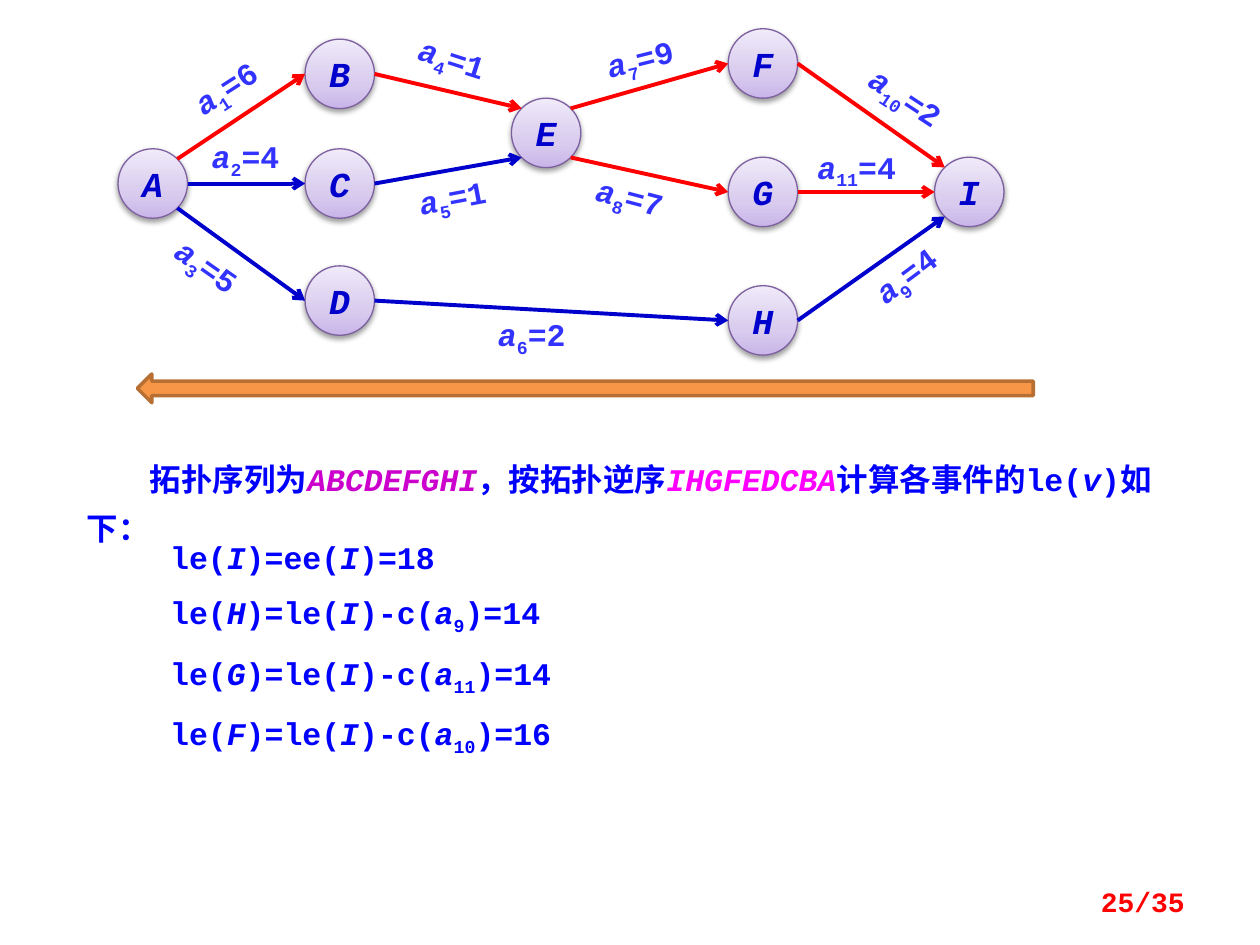
"""Build the slide that computes latest event times on an activity network."""
from math import cos, radians, sin

from lxml import etree
from pptx import Presentation
from pptx.dml.color import RGBColor
from pptx.enum.shapes import MSO_CONNECTOR, MSO_SHAPE
from pptx.enum.text import MSO_ANCHOR as Anchor, PP_ALIGN as Align
from pptx.oxml import parse_xml
from pptx.oxml.ns import nsdecls, qn
from pptx.util import Cm, Pt

FONT = "Courier New"
RED, NAVY, BLUE, LABEL = "FF0000", "0000CC", "0000FF", "3333FF"
RADIUS = 0.7
LABEL_SIZE = (2.4, 0.79)

EVENTS = {
    "A": (3.08, 3.7), "B": (6.85, 1.49), "C": (6.85, 3.7), "D": (6.85, 6.06),
    "E": (11.01, 2.68), "F": (15.38, 1.28), "G": (15.38, 3.87),
    "H": (15.38, 6.46), "I": (19.54, 3.87),
}
# Activity: ends, leaving and arriving angles, colour, label, label centre, label turn
ACTIVITIES = [
    ("AB", -45, 180, RED, "*a*_1_=6", (4.55, 1.77), -32.7),
    ("AC", 0, 180, NAVY, "*a*_2_=4", (4.95, 3.16), 0),
    ("AD", 45, 180, NAVY, "*a*_3_=5", (4.17, 5.37), 35.2),
    ("BE", 0, -135, RED, "*a*_4_=1", (9.12, 1.18), 17.8),
    ("CE", 0, 135, NAVY, "*a*_5_=1", (9.12, 3.98), -10.8),
    ("DH", 0, 180, NAVY, "*a*_6_=2", (10.72, 6.74), 0),
    ("EF", -45, 180, RED, "*a*_7_=9", (12.9, 1.18), -14),
    ("EG", 45, 180, RED, "*a*_8_=7", (12.7, 3.98), 14.7),
    ("HI", 0, 135, NAVY, "*a*_9_=4", (18.26, 5.55), -36.6),
    ("FI", 0, -135, RED, "*a*_10_=2", (18.26, 1.97), 33.4),
    ("GI", 0, 180, RED, "*a*_11_=4", (17.27, 3.37), 0),
]
INTRO = [
    ("拓扑序列为", BLUE), ("*ABCDEFGHI*", "CC00CC"), ("，按拓扑逆序", BLUE),
    ("*IHGFEDCBA*", "FF00FF"), ("计算各事件的le(*v*)如下：", BLUE),
]
FORMULAS = [
    "le(*I*)=ee(*I*)=18",
    "le(*H*)=le(*I*)-c(*a*_9_)=14",
    "le(*G*)=le(*I*)-c(*a*_11_)=14",
    "le(*F*)=le(*I*)-c(*a*_10_)=16",
]
GRADIENT = [(0, "C9B5E8"), (35, "D8CBEE"), (100, "F0EAF9")]


def rgb(value):
    return RGBColor.from_string(value)


def add_rich(paragraph, text, size, color):
    for i, part in enumerate(text.split("*")):
        for j, piece in enumerate(part.split("_")):
            if not piece:
                continue
            run = paragraph.add_run()
            run.text = piece
            font = run.font
            font.name, font.size, font.bold = FONT, Pt(size), True
            font.italic = i % 2 == 1
            font.color.rgb = rgb(color)
            if j % 2:
                font._element.set("baseline", "-25000")


def add_box(slide, left, top, width, height, inset=None):
    box = slide.shapes.add_textbox(Cm(left), Cm(top), Cm(width), Cm(height))
    frame = box.text_frame
    frame.word_wrap = True
    if inset is not None:
        clear_insets(frame)
    return box


def clear_insets(frame):
    frame.margin_left = frame.margin_right = frame.margin_top = frame.margin_bottom = 0


def add_event(slide, name, center):
    x, y = center
    shape = slide.shapes.add_shape(
        MSO_SHAPE.OVAL, Cm(x - RADIUS), Cm(y - RADIUS), Cm(2 * RADIUS), Cm(2 * RADIUS))
    shape.line.color.rgb, shape.line.width = rgb("7D60A0"), Pt(0.75)
    shape.fill.background()
    stops = "".join(f'<a:gs pos="{at * 1000}"><a:srgbClr val="{color}"/></a:gs>'
                    for at, color in GRADIENT)
    properties = shape._element.spPr
    empty_fill = properties.find(qn("a:noFill"))
    properties.replace(empty_fill, parse_xml(
        f'<a:gradFill {nsdecls("a")} rotWithShape="1"><a:gsLst>{stops}</a:gsLst>'
        '<a:lin ang="16200000" scaled="0"/></a:gradFill>'))
    shape.shadow.inherit = False
    properties.find(qn("a:effectLst")).append(parse_xml(
        f'<a:outerShdw {nsdecls("a")} blurRad="40000" dist="20000" dir="5400000" '
        'rotWithShape="0"><a:srgbClr val="000000"><a:alpha val="38000"/></a:srgbClr>'
        '</a:outerShdw>'))
    frame = shape.text_frame
    clear_insets(frame)
    frame.vertical_anchor = Anchor.MIDDLE
    frame.paragraphs[0].alignment = Align.CENTER
    add_rich(frame.paragraphs[0], f"*{name}*", 20, NAVY)


def rim_point(name, angle):
    x, y = EVENTS[name]
    turn = radians(angle)
    return Cm(x + RADIUS * cos(turn)), Cm(y + RADIUS * sin(turn))


def add_activity(slide, ends, leaving, arriving, color, label, center, turn):
    start, end = ends
    arrow = slide.shapes.add_connector(
        MSO_CONNECTOR.STRAIGHT, *rim_point(start, leaving), *rim_point(end, arriving))
    arrow.line.color.rgb, arrow.line.width = rgb(color), Pt(2.25)
    etree.SubElement(arrow.line._get_or_add_ln(), qn("a:tailEnd"), type="arrow")
    etree.SubElement(arrow._element.spPr, qn("a:effectLst"))

    width, height = LABEL_SIZE
    box = add_box(slide, center[0] - width / 2, center[1] - height / 2, width, height, 0)
    box.rotation = turn
    paragraph = box.text_frame.paragraphs[0]
    paragraph.alignment = Align.CENTER
    add_rich(paragraph, label, 18, LABEL)


def add_formulas(slide):
    frame = add_box(slide, 3.18, 10.72, 14.8, 4.5).text_frame
    for index, formula in enumerate(FORMULAS):
        paragraph = frame.add_paragraph() if index else frame.paragraphs[0]
        if index:
            paragraph.space_before = Pt(10)
        paragraph.alignment = Align.JUSTIFY
        add_rich(paragraph, formula, 18, BLUE)


def add_intro(slide):
    paragraph = add_box(slide, 1.5, 8.92, 22.4, 1.17).text_frame.paragraphs[0]
    paragraph.line_spacing = Pt(28)
    paragraph._p.get_or_add_pPr().set("indent", str(Pt(36)))
    for text, color in INTRO:
        add_rich(paragraph, text, 18, color)


def add_reverse_arrow(slide):
    arrow = slide.shapes.add_shape(
        MSO_SHAPE.LEFT_ARROW, Cm(2.77), Cm(7.54), Cm(18.06), Cm(0.58))
    arrow.shadow.inherit = False
    arrow.fill.solid()
    arrow.fill.fore_color.rgb = rgb("F79646")
    arrow.line.color.rgb, arrow.line.width = rgb("B76F34"), Pt(2)


def add_page_number(slide):
    frame = add_box(slide, 18.21, 17.65, 5.92, 1.02).text_frame
    frame.vertical_anchor = Anchor.MIDDLE
    frame.paragraphs[0].alignment = Align.RIGHT
    add_rich(frame.paragraphs[0], "25/35", 16, RED)


def main():
    presentation = Presentation()
    presentation.slide_width, presentation.slide_height = Cm(25.4), Cm(19.05)
    slide = presentation.slides.add_slide(presentation.slide_layouts[6])
    add_formulas(slide)
    add_intro(slide)
    for name, center in EVENTS.items():
        add_event(slide, name, center)
    for activity in ACTIVITIES:
        add_activity(slide, *activity)
    add_reverse_arrow(slide)
    add_page_number(slide)
    presentation.save("out.pptx")


if __name__ == "__main__":
    main()
